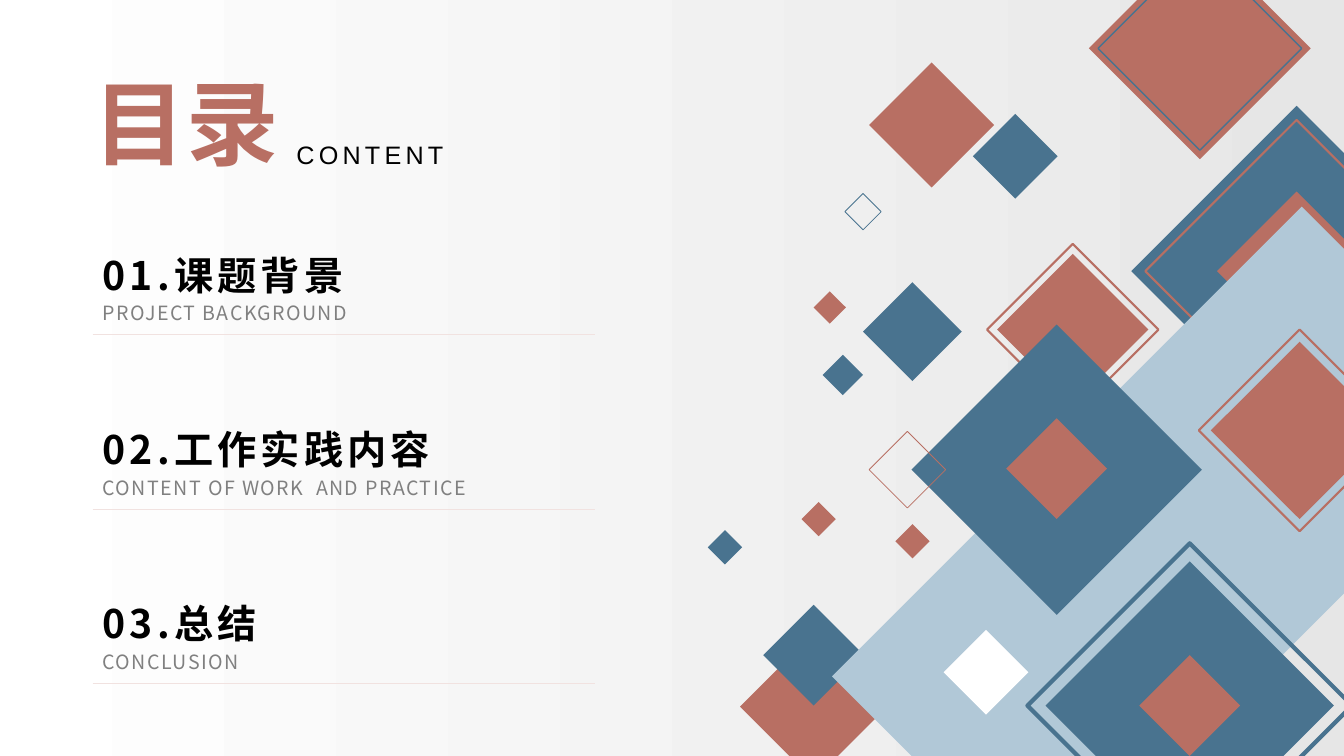
from lxml import etree
from pptx import Presentation
from pptx import util as u
from pptx.dml.color import RGBColor
from pptx.enum import shapes, text
from pptx.oxml.ns import qn

COLORS = {
    "rust": "B86F63", "blue": "49738F", "sky": "B1C8D7", "white": "FFFFFF",
    "mist": "E6E6E6", "black": "000000", "grey": "808080", "rule": "F1E2E0",
}
CJK = "Noto Sans CJK SC"


def rgb(name):
    return RGBColor.from_string(COLORS[name])


def write(box, words, size, color, face=CJK, bold=False, spacing=0, inset=True):
    """Fill a box with one formatted run; spacing is in points between letters."""
    frame = box.text_frame
    frame.word_wrap = True
    frame.auto_size = text.MSO_AUTO_SIZE.NONE
    frame.vertical_anchor = text.MSO_ANCHOR.TOP
    if not inset:
        frame.margin_left = frame.margin_right = 0
        frame.margin_top = frame.margin_bottom = 0
    span = frame.paragraphs[0].add_run()
    span.text = words
    span.font.size = u.Pt(size)
    span.font.bold = bold
    span.font.name = face
    span.font.color.rgb = rgb(color)
    props = span.font._element
    props.set("spc", str(spacing * 100))
    props.find(qn("a:latin")).addnext(
        etree.Element(qn("a:ea"), typeface=face))


deck = Presentation()
deck.slide_width, deck.slide_height = u.Inches(13.33), u.Inches(7.5)
page = deck.slides.add_slide(deck.slide_layouts[5])

# Background fades from left to right
backdrop = page.background.fill
backdrop.gradient()
backdrop.gradient_angle = 0
for stop, color in zip(backdrop.gradient_stops, ("white", "mist")):
    stop.color.rgb = rgb(color)

# Title
title = page.shapes.title
title.left, title.top = u.Inches(0.92), u.Inches(0.66)
title.width, title.height = u.Inches(1.85), u.Inches(1.11)
write(title, "目录", 66, "rust", bold=True, inset=False)
title.text_frame.word_wrap = False
title.text_frame.paragraphs[0].alignment = text.PP_ALIGN.CENTER

subtitle = page.shapes.add_textbox(
    u.Inches(2.94), u.Inches(1.38), u.Inches(2.2), u.Inches(0.3))
write(subtitle, "CONTENT", 18, "black", face="Arial", spacing=3, inset=False)

# Decoration, back to front: centre x, centre y, half width, colour,
# outline width in points (0 means a filled diamond)
behind_band = [
    (8.07, 7.01, 0.73, "rust", 0),
    (10.64, 3.27, 0.75, "rust", 0),
    (10.64, 3.27, 0.85, "rust", 1.5),
    (12.86, 2.69, 1.64, "blue", 0),
    (12.86, 2.69, 0.79, "rust", 0),
    (12.86, 2.69, 1.5, "rust", 1.5),
    (8.07, 6.5, 0.5, "blue", 0),
]
before_band = [
    (9.78, 6.67, 0.42, "white", 0),
    (10.48, 4.66, 1.44, "blue", 0),
    (10.48, 4.65, 0.5, "rust", 0),
    (11.8, 7, 1.43, "blue", 0),
    (11.8, 7, 1.61, "blue", 3),
    (12.89, 4.27, 0.88, "rust", 0),
    (12.89, 4.27, 1, "rust", 1.5),
    (11.8, 7, 0.5, "rust", 0),
    (9, 4.66, 0.38, "rust", 0.54),
    (9.05, 3.29, 0.49, "blue", 0),
    (8.56, 2.1, 0.18, "blue", 0.54),
    (8.23, 3.05, 0.16, "rust", 0),
    (10.07, 1.55, 0.42, "blue", 0),
    (8.12, 5.15, 0.17, "rust", 0),
    (9.05, 5.37, 0.17, "rust", 0),
    (9.24, 1.24, 0.62, "rust", 0),
    (7.19, 5.43, 0.17, "blue", 0),
    (8.36, 3.72, 0.2, "blue", 0),
    (11.9, 0.48, 1.1, "rust", 0),
    (11.9, 0.48, 1.01, "blue", 1),
]
for layer in (behind_band, before_band):
    if layer is before_band:
        band = page.shapes.add_shape(
            shapes.MSO_SHAPE.RECTANGLE,
            u.Inches(8.35), u.Inches(3.94), u.Inches(6.59), u.Inches(3.01))
        band.rotation = 315
        band.shadow.inherit = False
        band.fill.solid()
        band.fill.fore_color.rgb = rgb("sky")
        band.line.fill.background()
    for x, y, half, color, outline in layer:
        diamond = page.shapes.add_shape(
            shapes.MSO_SHAPE.DIAMOND, u.Inches(x - half), u.Inches(y - half),
            u.Inches(2 * half), u.Inches(2 * half))
        diamond.shadow.inherit = False
        if outline:
            diamond.fill.background()
            diamond.line.color.rgb = rgb(color)
            diamond.line.width = u.Pt(outline)
        else:
            diamond.fill.solid()
            diamond.fill.fore_color.rgb = rgb(color)
            diamond.line.fill.background()

# Contents: heading, translation and rule, repeated at an equal pitch
entries = [
    ("01.课题背景", "PROJECT BACKGROUND"),
    ("02.工作实践内容", "CONTENT OF WORK  AND PRACTICE"),
    ("03.总结", "CONCLUSION"),
]
left, pitch = u.Inches(0.92), 1.73
for index, (heading, translation) in enumerate(entries):
    top = 2.44 + index * pitch
    heading_box = page.shapes.add_textbox(
        left, u.Inches(top), u.Inches(4.79), u.Inches(0.57))
    write(heading_box, heading, 28, "black", bold=True, spacing=3)
    translation_box = page.shapes.add_textbox(
        left, u.Inches(top + 0.5), u.Inches(5.8), u.Inches(0.34))
    write(translation_box, translation, 14, "grey", spacing=1)
    rule_y = u.Inches(top + 0.88)
    rule = page.shapes.add_connector(
        shapes.MSO_CONNECTOR.STRAIGHT, left, rule_y, u.Inches(5.9), rule_y)
    rule.line.color.rgb = rgb("rule")
    rule.line.width = u.Pt(0.5)
    etree.SubElement(rule._element.spPr, qn("a:effectLst"))

deck.save("out.pptx")
